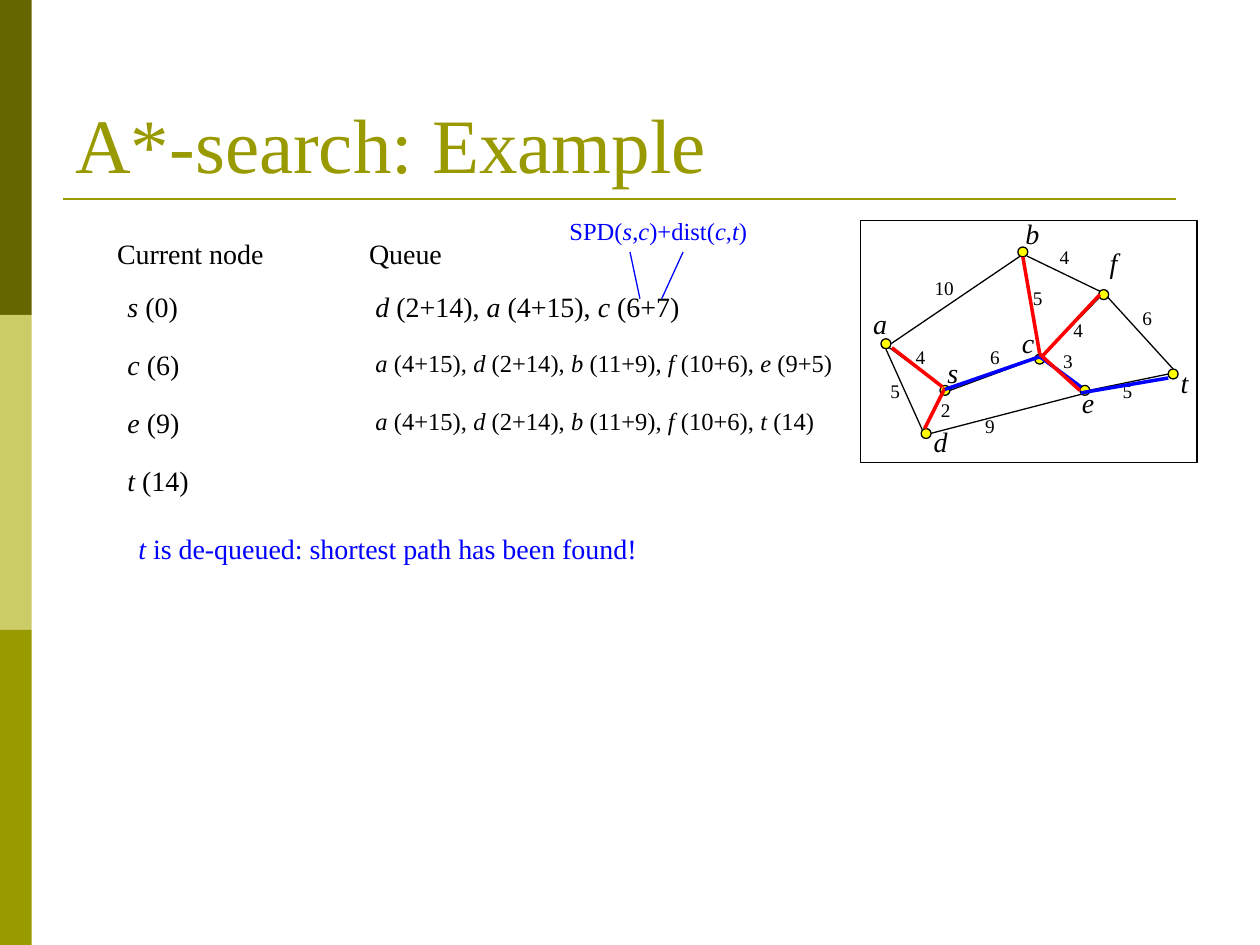
from typing import NamedTuple

from lxml import etree
from pptx import Presentation
from pptx.dml.color import RGBColor
from pptx.enum.shapes import MSO_CONNECTOR, MSO_SHAPE
from pptx.enum.text import MSO_ANCHOR, MSO_AUTO_SIZE
from pptx.oxml.ns import qn
from pptx.util import Cm, Pt

STRAIGHT = MSO_CONNECTOR.STRAIGHT
RECTANGLE, OVAL = MSO_SHAPE.RECTANGLE, MSO_SHAPE.OVAL
TOP, BOTTOM = MSO_ANCHOR.TOP, MSO_ANCHOR.BOTTOM
FIT_SHAPE, FIT_NONE = MSO_AUTO_SIZE.SHAPE_TO_FIT_TEXT, MSO_AUTO_SIZE.NONE

FONT = "Times New Roman"
BLACK, RED, BLUE, YELLOW = "000000", "FF0000", "0000FF", "FFFF00"
DARK_OLIVE, LIGHT_OLIVE, OLIVE = "666600", "CCCC66", "999900"
THIN, THICK = 0.75, 2
NODE_SIZE = 0.2
TEXT_HEIGHT = {11: 0.74, 14: 0.86, 16: 0.94, 44: 3.18}

Point = tuple[float, float]


class Node(NamedTuple):
    name: str
    center: Point
    label_at: Point
    label_width: float


class Edge(NamedTuple):
    start: Point
    end: Point
    weight: str
    weight_at: Point


class Step(NamedTuple):
    current: str
    current_width: float
    queue: str = ""
    queue_width: float = 0
    queue_size: int = 14


NODES = [
    Node("a", (17.86, 6.93), (17.35, 6.05), 0.84),
    Node("b", (20.62, 5.08), (20.42, 4.24), 0.84),
    Node("c", (20.96, 7.24), (20.35, 6.43), 0.79),
    Node("d", (18.67, 8.74), (18.57, 8.43), 0.89),
    Node("e", (21.87, 7.87), (21.56, 7.65), 0.84),
    Node("f", (22.25, 5.94), (22.12, 4.83), 0.84),
    Node("s", (19.05, 7.87), (18.85, 7.04), 0.86),
    Node("t", (23.65, 7.54), (23.55, 7.24), 0.76),
]

EDGES = [
    Edge((17.96, 6.93), (20.57, 5.16), "10", (18.59, 5.44)),
    Edge((20.62, 5.18), (20.96, 7.14), "5", (20.57, 5.64)),
    Edge((17.93, 7.01), (19, 7.8), "4", (18.21, 6.83)),
    Edge((22.17, 5.87), (20.7, 5.16), "4", (21.11, 4.83)),
    Edge((21.79, 7.95), (18.75, 8.74), "9", (19.61, 8.23)),
    Edge((23.65, 7.44), (22.33, 5.99), "6", (22.78, 6.05)),
    Edge((21.79, 7.8), (21.06, 7.24), "3", (21.18, 6.91)),
    Edge((19.15, 7.87), (20.85, 7.24), "6", (19.71, 6.83)),
    Edge((21.95, 7.87), (23.55, 7.54), "5", (22.38, 7.52)),
    Edge((22.17, 5.99), (21.03, 7.16), "4", (21.39, 6.3)),
    Edge((18.64, 8.64), (19, 7.95), "2", (18.72, 7.9)),
    Edge((18.59, 8.66), (17.86, 7.04), "5", (17.7, 7.52)),
]

FROM_S = [((17.98, 7.01), (19, 7.8)), ((19.05, 7.82), (18.64, 8.64))]
SHORTEST_PATH = [
    ((23.55, 7.62), (21.79, 7.92)),
    ((21.79, 7.8), (20.96, 7.19)),
    ((19.05, 7.85), (20.96, 7.19)),
]
FROM_C = [
    ((20.96, 7.14), (20.62, 5.18)),
    ((21.03, 7.16), (22.17, 5.94)),
    ((20.96, 7.14), (21.77, 7.87)),
]
COST_POINTERS = [((12.9, 6.02), (12.7, 5.08)), ((13.34, 6.02), (13.77, 5.08))]

# Underscores enclose italic text.
STEPS = [
    Step("_s _(0)", 1.57, "_d _(2+14), _a_ (4+15), _c_ (6+7)", 6.76, 16),
    Step("_c _(6)", 1.63,
         "_a_ (4+15), _d_ (2+14), _b_ (11+9), _f_ (10+6), _e _(9+5)", 9.83),
    Step("_e _(9)", 1.63,
         "_a_ (4+15), _d_ (2+14), _b_ (11+9), _f _(10+6), _t _(14)", 9.45),
    Step("_t _(14)", 1.8),
]
STEPS_TOP, STEP_PITCH = 5.72, 1.17


def rgb(color: str) -> RGBColor:
    return RGBColor.from_string(color)


def add_line(shapes, start: Point, end: Point, color: str, width: float) -> None:
    line = shapes.add_connector(STRAIGHT, *(Cm(v) for v in start + end))
    line.line.color.rgb = rgb(color)
    line.line.width = Pt(width)
    etree.SubElement(line._element.spPr, qn("a:effectLst"))


def add_lines(shapes, segments: list, color: str, width: float) -> None:
    for start, end in segments:
        add_line(shapes, start, end, color, width)


def add_figure(shapes, kind, left: float, top: float, width: float, height: float,
               fill: str = "", outline: str = "") -> None:
    figure = shapes.add_shape(kind, Cm(left), Cm(top), Cm(width), Cm(height))
    figure.shadow.inherit = False
    if fill:
        figure.fill.solid()
        figure.fill.fore_color.rgb = rgb(fill)
    else:
        figure.fill.background()
    if outline:
        figure.line.color.rgb = rgb(outline)
        figure.line.width = Pt(THIN)
    else:
        figure.line.fill.background()


def add_text(shapes, text: str, at: Point, width: float, size: int = 16,
             color: str = BLACK, wrap: bool = False, anchor=TOP, fit=FIT_SHAPE):
    """Add one paragraph, with the parts between underscores in italics."""
    box = shapes.add_textbox(Cm(at[0]), Cm(at[1]), Cm(width), Cm(TEXT_HEIGHT[size]))
    frame = box.text_frame
    frame.word_wrap = wrap
    frame.auto_size = fit
    frame.vertical_anchor = anchor
    paragraph = frame.paragraphs[0]
    for index, part in enumerate(text.split("_")):
        if part:
            run = paragraph.add_run()
            run.text = part
            run.font.name = FONT
            run.font.size = Pt(size)
            run.font.italic = index % 2 == 1
            run.font.color.rgb = rgb(color)
    return paragraph


def draw_background(shapes) -> None:
    for index, color in enumerate((DARK_OLIVE, LIGHT_OLIVE, OLIVE)):
        add_figure(shapes, RECTANGLE, 0, index * 6.35, 0.64, 6.35, fill=color)
    add_line(shapes, (1.27, 4.01), (23.7, 4.01), OLIVE, 1.5)


def draw_graph(shapes) -> None:
    for edge in EDGES:
        add_line(shapes, edge.start, edge.end, BLACK, THIN)
    for node in NODES:
        x, y = node.center
        add_figure(shapes, OVAL, x - NODE_SIZE / 2, y - NODE_SIZE / 2,
                   NODE_SIZE, NODE_SIZE, YELLOW, BLACK)
        add_text(shapes, f"_{node.name}_", node.label_at, node.label_width)
    for edge in EDGES:
        width = 0.54 + 0.19 * len(edge.weight)
        add_text(shapes, edge.weight, edge.weight_at, width, 11)
    add_figure(shapes, RECTANGLE, 17.35, 4.45, 6.78, 4.88, outline=BLACK)
    add_lines(shapes, FROM_S, RED, THICK)
    add_lines(shapes, SHORTEST_PATH, BLUE, THICK)
    add_lines(shapes, FROM_C, RED, THICK)


def draw_steps(shapes) -> None:
    add_text(shapes, "Current node", (2.11, 4.65), 3.5)
    add_text(shapes, "Queue", (7.19, 4.65), 2)
    for index, step in enumerate(STEPS):
        top = STEPS_TOP + index * STEP_PITCH
        add_text(shapes, step.current, (2.32, top), step.current_width)
        if step.queue:
            add_text(shapes, step.queue, (7.32, top), step.queue_width, step.queue_size)
    add_text(shapes, "SPD(_s_,_c_)+dist(_c_,_t_)", (11.23, 4.24), 4.11, 14, BLUE)
    add_lines(shapes, COST_POINTERS, BLUE, THIN)
    conclusion = add_text(shapes, "_t_ is de-queued: shortest path has been found!",
                          (1.27, 10.59), 18.21, color=BLUE, wrap=True)
    conclusion._p.get_or_add_pPr().set("marL", str(Cm(1.27)))


def main() -> None:
    presentation = Presentation()
    presentation.slide_width, presentation.slide_height = Cm(25.4), Cm(19.05)
    shapes = presentation.slides.add_slide(presentation.slide_layouts[6]).shapes
    draw_background(shapes)
    add_text(shapes, "A*-search: Example", (1.27, 0.76), 22.86, 44, OLIVE,
             wrap=True, anchor=BOTTOM, fit=FIT_NONE)
    draw_graph(shapes)
    draw_steps(shapes)
    presentation.save("out.pptx")


if __name__ == "__main__":
    main()
